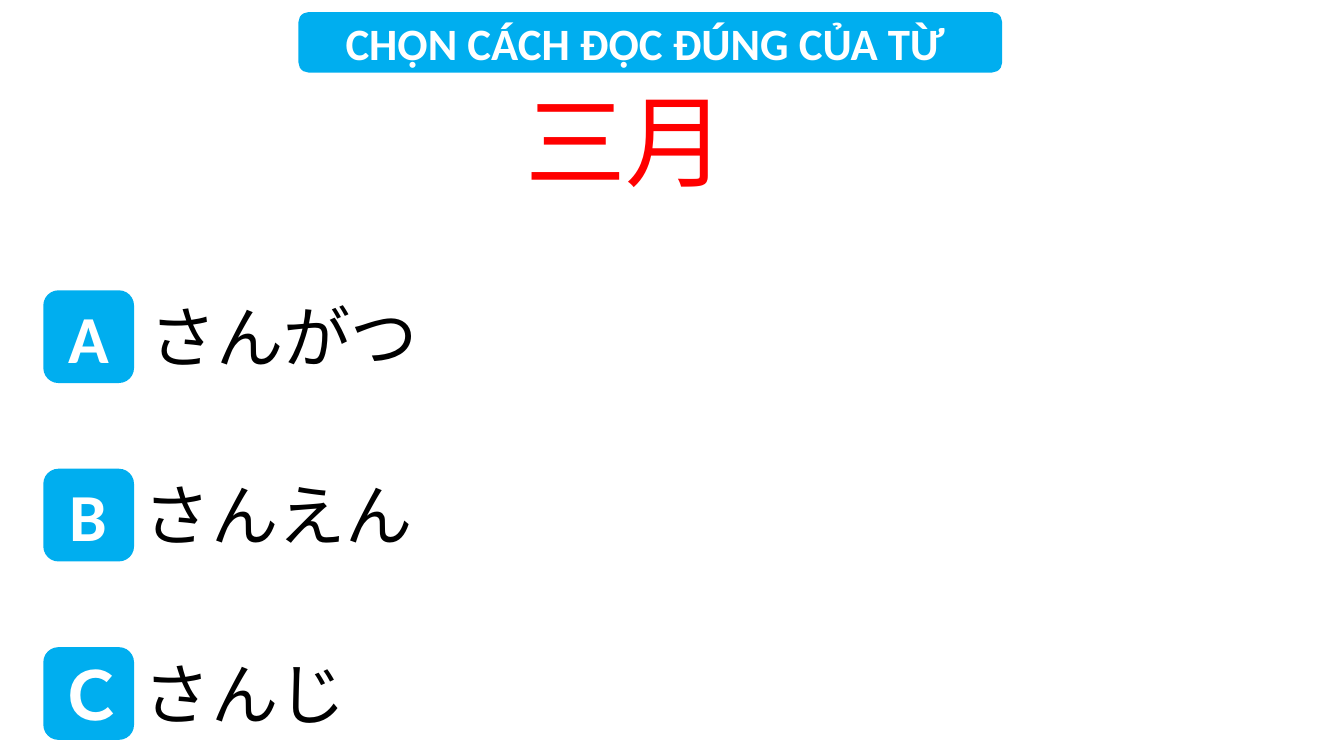
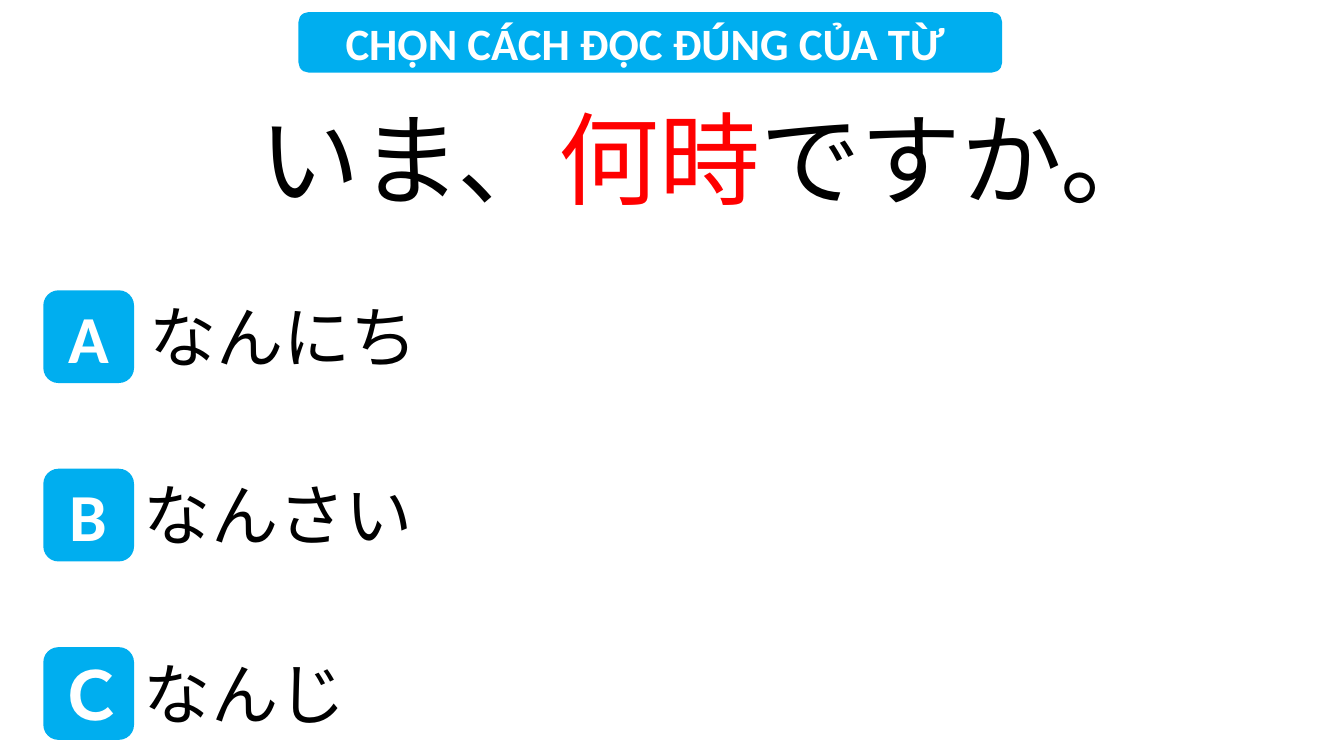
from pptx import Presentation, util as u
from pptx.dml.color import RGBColor
from pptx.enum import shapes, text
from pptx.oxml.ns import qn
from lxml import etree

BLUE, WHITE, RED, BLACK = "00AEEF", "FFFFFF", "FF0000", "000000"
LATIN, KANA = "Calibri", "Noto Sans CJK JP"
BANNER = "CHỌN CÁCH ĐỌC ĐÚNG CỦA TỪ "
LABELS = "ABＣ"
TOP, STEP = 2.88, 1.77
INDENTS = (1.38, 1.33, 1.33)

# Each quiz: question box, question runs, answers
QUIZZES = [
    ((5.11, 0.73, 4.08, 1.31),
     [("三月", RED)],
     ("さんがつ", "さんえん", "さんじ")),
    ((2.48, 0.91, 9.42, 1.31),
     [("いま、", BLACK), ("何時", RED), ("ですか。", BLACK)],
     ("なんにち", "なんさい", "なんじ")),
]


def paint(target, color):
    """Give a fill or a font a solid colour."""
    if hasattr(target, "solid"):
        target.solid()
        target.fore_color.rgb = RGBColor.from_string(color)
    else:
        target.color.rgb = RGBColor.from_string(color)


def inches(box):
    return [u.Inches(n) for n in box]


def add_kana(slide, box, parts, size):
    """Add Japanese text made of (words, colour) parts."""
    frame = slide.shapes.add_textbox(*inches(box)).text_frame
    frame.word_wrap = True
    frame.auto_size = text.MSO_AUTO_SIZE.SHAPE_TO_FIT_TEXT
    for words, color in parts:
        run = frame.paragraphs[0].add_run()
        run.text = words
        run.font.size = u.Pt(size)
        run.font.name = KANA
        paint(run.font, color)
        # East Asian typeface
        east = etree.SubElement(run.font._element, qn("a:ea"))
        east.set("typeface", KANA)


def add_block(slide, box, words, size):
    """Add a blue rounded block with bold white text."""
    block = slide.shapes.add_shape(
        shapes.MSO_SHAPE.ROUNDED_RECTANGLE, *inches(box))
    block.shadow.inherit = False
    paint(block.fill, BLUE)
    block.line.fill.background()
    frame = block.text_frame
    frame.text = words
    frame.vertical_anchor = text.MSO_ANCHOR.MIDDLE
    para = frame.paragraphs[0]
    para.alignment = text.PP_ALIGN.CENTER
    font = para.runs[0].font
    font.name, font.size, font.bold = LATIN, u.Pt(size), True
    paint(font, WHITE)


def add_quiz(deck, box, parts, answers):
    slide = deck.slides.add_slide(deck.slide_layouts[6])
    # Question
    add_kana(slide, box, parts, 72)
    # Answers
    for row, (label, left, answer) in enumerate(zip(LABELS, INDENTS, answers)):
        top = TOP + row * STEP
        add_block(slide, (0.43, top, 0.9, 0.92), label, 48)
        add_kana(slide, (left, top, 4.6, 0.91), [(answer, BLACK)], 48)
    # Banner
    add_block(slide, (2.96, 0.12, 6.98, 0.6), BANNER, 32)


def main():
    deck = Presentation()
    deck.slide_width, deck.slide_height = inches((13.33, 7.5))
    for quiz in QUIZZES:
        add_quiz(deck, *quiz)
    deck.save("out.pptx")


if __name__ == "__main__":
    main()
